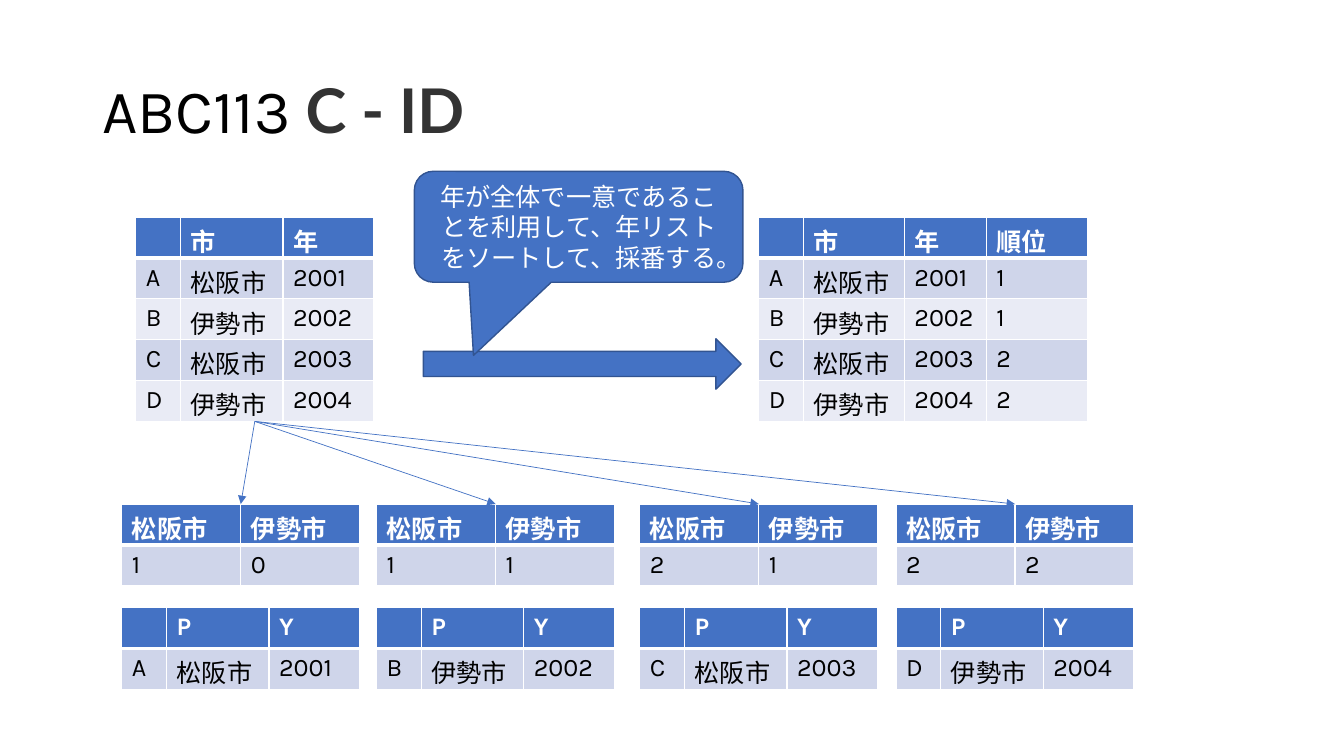
from collections import Counter
from lxml import etree
from pptx import Presentation
from pptx import util as u
from pptx.dml.color import RGBColor
from pptx.enum import shapes, text
from pptx.oxml.ns import qn

Pt = u.Pt
THEME = {
    "accent": "4472C4", "outline": "325491", "bands": ["CFD5EA", "E9EBF5"], "rule": "FFFFFF",
    "title": {"name": "Karla", "size": Pt(44), "bold": False, "color": "000000"},
    "problem": {"name": "Lato", "size": Pt(44), "bold": True, "color": "333333"},
    "header": {"name": "Karla", "size": Pt(18), "bold": True, "color": "FFFFFF"},
    "body": {"name": "Karla", "size": Pt(18), "bold": False, "color": "000000"},
    "callout": {"name": "Karla", "size": Pt(18), "bold": False, "color": "FFFFFF"},
}
ROW_HEIGHT = 29.2

deck = Presentation()
deck.slide_width, deck.slide_height = Pt(960), Pt(540)
slide = deck.slides.add_slide(deck.slide_layouts[6])


def write(paragraph, words, style):
    font = paragraph.add_run().font
    paragraph.runs[-1].text = words
    for key, value in THEME[style].items():
        if key == "color":
            font.color.rgb = RGBColor.from_string(value)
        else:
            setattr(font, key, value)


def add_grid(left, top, widths, rows):
    frame = slide.shapes.add_table(len(rows), len(widths), Pt(left), Pt(top),
                                   Pt(sum(widths)), Pt(ROW_HEIGHT * len(rows)))
    grid = frame.table
    for column, width in zip(grid.columns, widths):
        column.width = Pt(width)
    for r, row in enumerate(rows):
        grid.rows[r].height = Pt(ROW_HEIGHT)
        for c, value in enumerate(row):
            cell = grid.cell(r, c)
            # White rules, thicker between header and body
            sides = {"lnL": 1, "lnR": 1, "lnT": 3 if r == 1 else 1, "lnB": 3 if r == 0 else 1}
            for side, weight in sides.items():
                rule = etree.SubElement(cell._tc.get_or_add_tcPr(), qn(f"a:{side}"), w=str(Pt(weight)))
                paint = etree.SubElement(rule, qn("a:solidFill"))
                etree.SubElement(paint, qn("a:srgbClr"), val=THEME["rule"])
            cell.fill.solid()
            band = THEME["bands"][(r - 1) % 2] if r else THEME["accent"]
            cell.fill.fore_color.rgb = RGBColor.from_string(band)
            if value != "":
                write(cell.text_frame.paragraphs[0], str(value), "body" if r else "header")


# Title
heading = slide.shapes.add_textbox(Pt(66), Pt(28.8), Pt(828), Pt(104.4)).text_frame
heading.word_wrap = True
heading.vertical_anchor = text.MSO_ANCHOR.MIDDLE
heading.paragraphs[0].line_spacing = 0.9
write(heading.paragraphs[0], "ABC113 ", "title")
write(heading.paragraphs[0], "C - ID", "problem")

# Running count of each city gives the rank of every record
CITIES = ["松阪市", "伊勢市"]
records = [("A", CITIES[0], 2001), ("B", CITIES[1], 2002),
           ("C", CITIES[0], 2003), ("D", CITIES[1], 2004)]
seen, ranked, counts = Counter(), [], []
for record in records:
    seen[record[1]] += 1
    ranked.append((*record, seen[record[1]]))
    counts.append([seen[city] for city in CITIES])

# Input table and ranked table
RECORD_WIDTHS = [32, 73.2, 64.8]
add_grid(97, 155, RECORD_WIDTHS, [("", "市", "年"), *records])
add_grid(542, 155, [32, 72, 58.6, 72], [("", "市", "年", "順位"), *ranked])

# One step per record: counters above, record below
STEP_LEFTS = [87, 269, 457, 640]
for left, count, record in zip(STEP_LEFTS, counts, records):
    add_grid(left, 360, [85, 85], [CITIES, count])
    add_grid(left, 434, RECORD_WIDTHS, [("", "P", "Y"), record])

# Arrows from the input table to each step
for left in STEP_LEFTS:
    step_arrow = slide.shapes.add_connector(shapes.MSO_CONNECTOR.STRAIGHT,
                                            Pt(182), Pt(301), Pt(left + 85), Pt(360))
    step_arrow.line.width = Pt(0.5)
    step_arrow.line.color.rgb = RGBColor.from_string(THEME["accent"])
    etree.SubElement(step_arrow.line._get_or_add_ln(), qn("a:tailEnd"), type="triangle")
    etree.SubElement(step_arrow._element.spPr, qn("a:effectLst"))

# Sorting arrow and its callout
sort_arrow = slide.shapes.add_shape(shapes.MSO_SHAPE.RIGHT_ARROW,
                                    Pt(302.4), Pt(242), Pt(227), Pt(36))
callout = slide.shapes.add_shape(shapes.MSO_SHAPE.ROUNDED_RECTANGULAR_CALLOUT,
                                 Pt(296), Pt(122.4), Pt(234.7), Pt(79.2))
for i, offset in enumerate([-0.32, 1.16, 0.17]):
    callout.adjustments[i] = offset
for shape in (sort_arrow, callout):
    shape.shadow.inherit = False
    shape.fill.solid()
    shape.fill.fore_color.rgb = RGBColor.from_string(THEME["accent"])
    shape.line.color.rgb = RGBColor.from_string(THEME["outline"])
    shape.line.width = Pt(1)
callout.text_frame.word_wrap = True
callout.text_frame.vertical_anchor = text.MSO_ANCHOR.MIDDLE
remark = callout.text_frame.paragraphs[0]
remark.alignment = text.PP_ALIGN.CENTER
write(remark, "年が全体で一意であることを利用して、年リストをソートして、採番する。", "callout")

deck.save("out.pptx")
